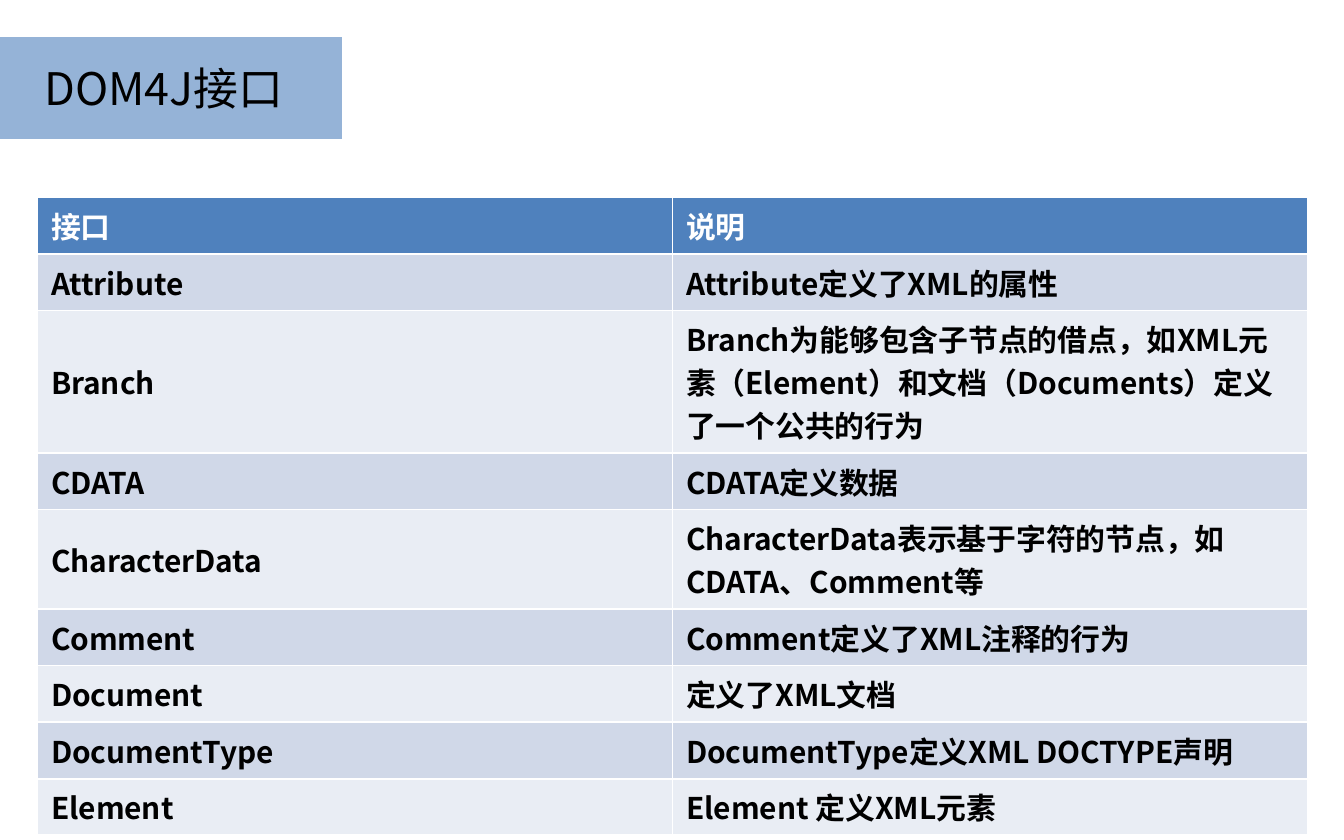
from dataclasses import dataclass

from lxml import etree
from pptx import Presentation
from pptx.dml.color import RGBColor
from pptx.enum.shapes import MSO_SHAPE
from pptx.enum.text import MSO_ANCHOR, PP_ALIGN
from pptx.oxml.ns import qn
from pptx.util import Inches, Pt

RECTANGLE = MSO_SHAPE.RECTANGLE
MIDDLE = MSO_ANCHOR.MIDDLE
CENTER = PP_ALIGN.CENTER


@dataclass(frozen=True)
class Theme:
    font: str = "Noto Sans CJK SC"
    title_size: int = 24
    table_size: int = 16
    title_line: int = 2
    border: int = 1
    white: str = "FFFFFF"
    black: str = "000000"
    title_fill: str = "95B3D7"
    header_fill: str = "4F81BD"
    bands: tuple = ("D0D8E8", "E9EDF4")


THEME = Theme()

HEADER = ("接口", "说明")
# Interface, description, number of text lines in the row
INTERFACES = [
    ("Attribute", "Attribute定义了XML的属性", 1),
    ("Branch", "Branch为能够包含子节点的借点，如XML元素（Element）"
               "和文档（Documents）定义了一个公共的行为", 3),
    ("CDATA", "CDATA定义数据", 1),
    ("CharacterData", "CharacterData表示基于字符的节点，如CDATA、Comment等", 2),
    ("Comment", "Comment定义了XML注释的行为", 1),
    ("Document", "定义了XML文档", 1),
    ("DocumentType", "DocumentType定义XML DOCTYPE声明", 1),
    ("Element", "Element 定义XML元素", 1),
]


def set_text(text_frame, text, size, color, bold=False):
    text_frame.text = text
    paragraph = text_frame.paragraphs[0]
    for run in paragraph.runs:
        font = run.font
        font.name = THEME.font
        font.size = Pt(size)
        font.bold = bold
        font.color.rgb = RGBColor.from_string(color)
        properties = font._element
        etree.SubElement(properties, qn("a:ea"), typeface=THEME.font)
    return paragraph


def set_borders(cell):
    properties = cell._tc.get_or_add_tcPr()
    for side in ("a:lnL", "a:lnR", "a:lnT", "a:lnB"):
        line = etree.SubElement(properties, qn(side), w=str(Pt(THEME.border)))
        fill = etree.SubElement(line, qn("a:solidFill"))
        etree.SubElement(fill, qn("a:srgbClr"), val=THEME.white)


def add_title(slide, left, top, width, height, text):
    shape = slide.shapes.add_shape(RECTANGLE, left, top, width, height)
    shape.shadow.inherit = False
    shape.fill.solid()
    shape.fill.fore_color.rgb = RGBColor.from_string(THEME.title_fill)
    shape.line.color.rgb = RGBColor.from_string(THEME.white)
    shape.line.width = Pt(THEME.title_line)
    shape.text_frame.vertical_anchor = MIDDLE
    paragraph = set_text(shape.text_frame, text, THEME.title_size, THEME.black)
    paragraph.alignment = CENTER


def fill_cell(cell, text, fill, color):
    set_borders(cell)
    cell.fill.solid()
    cell.fill.fore_color.rgb = RGBColor.from_string(fill)
    cell.vertical_anchor = MIDDLE
    set_text(cell.text_frame, text, THEME.table_size, color, bold=True)


def add_interface_table(slide, left, top, width, height):
    rows = [(*HEADER, 1), *INTERFACES]
    table = slide.shapes.add_table(
        len(rows), len(HEADER), left, top, width, height).table
    for index, (*texts, line_count) in enumerate(rows):
        table.rows[index].height = Inches(0.09 + 0.28 * line_count)
        if index == 0:
            fill, color = THEME.header_fill, THEME.white
        else:
            fill, color = THEME.bands[(index - 1) % 2], THEME.black
        for column, text in enumerate(texts):
            fill_cell(table.cell(index, column), text, fill, color)


def main():
    presentation = Presentation()
    presentation.slide_width = Inches(10)
    presentation.slide_height = Inches(6.25)
    slide = presentation.slides.add_slide(presentation.slide_layouts[6])
    add_title(slide, Inches(-0.12), Inches(0.26), Inches(2.68), Inches(0.79),
              "DOM4J接口")
    add_interface_table(slide, Inches(0.28), Inches(1.47),
                        Inches(9.45), Inches(4.24))
    presentation.save("out.pptx")


if __name__ == "__main__":
    main()
